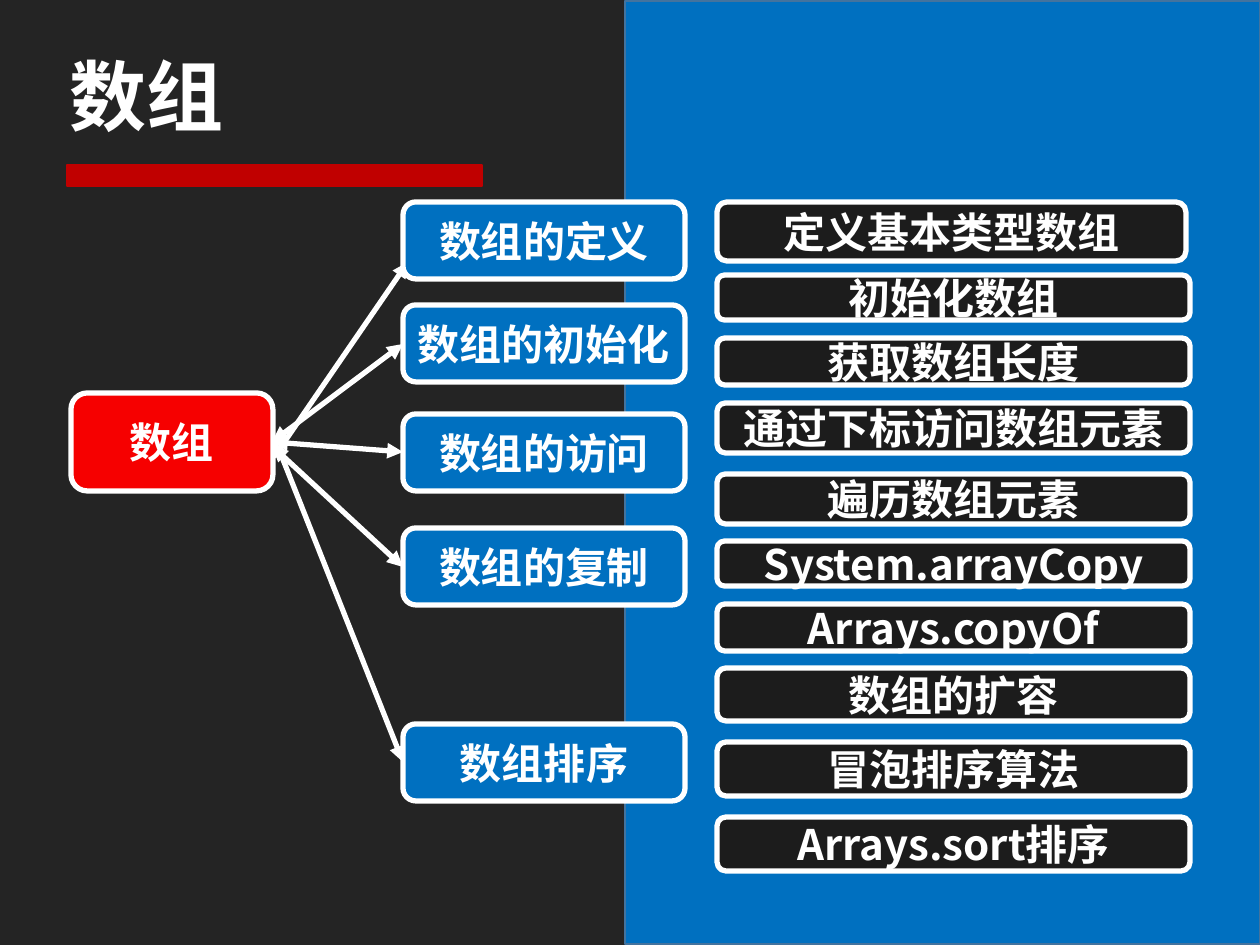
from dataclasses import dataclass

from lxml import etree
from pptx import Presentation
from pptx import util as u
from pptx.dml.color import RGBColor
from pptx.enum import shapes, text
from pptx.oxml.ns import qn

PX = 914400 // 126  # one px in EMU, 126 px to the inch


@dataclass(frozen=True)
class Theme:
    font: str = "Noto Sans CJK SC"
    back: str = "242424"
    dark: str = "1C1C1C"
    blue: str = "0070C0"
    edge: str = "43739E"
    red: str = "F60000"
    bar: str = "C00000"
    white: str = "FFFFFF"
    title: int = 44
    label: int = 24
    thin: int = 1
    thick: int = 3


theme = Theme()
rgb = RGBColor.from_string


def write(frame, words, size=theme.label, align=text.PP_ALIGN.CENTER, wrap=False, pad=6):
    frame.word_wrap = wrap
    frame.vertical_anchor = text.MSO_ANCHOR.MIDDLE
    frame.margin_top = frame.margin_bottom = pad * PX
    para = frame.paragraphs[0]
    para.alignment = align
    run = para.add_run()
    run.text = words
    font = run.font
    font.size, font.bold, font.name = u.Pt(size), True, theme.font
    font.color.rgb = rgb(theme.white)
    etree.SubElement(run._r.get_or_add_rPr(), qn("a:ea"), typeface=theme.font)


def box(place, fill, line=theme.white, width=theme.thick, words=None):
    kind = shapes.MSO_SHAPE.FLOWCHART_ALTERNATE_PROCESS if words else shapes.MSO_SHAPE.RECTANGLE
    shape = slide.shapes.add_shape(kind, *(n * PX for n in place))
    shape.shadow.inherit = False
    shape.fill.solid()
    shape.fill.fore_color.rgb = rgb(fill)
    shape.line.color.rgb = rgb(line)
    shape.line.width = u.Pt(width)
    if words:
        write(shape.text_frame, words)


deck = Presentation()
deck.slide_width, deck.slide_height = u.Inches(10), u.Inches(7.5)
slide = deck.slides.add_slide(deck.slide_layouts[6])
slide.background.fill.solid()
slide.background.fill.fore_color.rgb = rgb(theme.back)

# Right panel, title and its bar
box((625, 1, 635, 943), theme.blue, theme.edge, theme.thin)
title = slide.shapes.add_textbox(*(n * PX for n in (57, 29, 1145, 131)))
write(title.text_frame, "数组", size=theme.title, align=text.PP_ALIGN.LEFT, wrap=True)
box((67, 165, 415, 21), theme.bar, theme.bar, theme.thin)

# Root
box((71, 393, 202, 98), theme.red, words="数组")

# Arrows from the root to the topics
both = ("headEnd", "tailEnd")
for ends, tips in [
    ((272, 460, 408, 262), both),
    ((272, 442, 403, 344), both),
    ((272, 442, 403, 452), both),
    ((272, 446, 403, 567), both),
    ((278, 447, 403, 762), both[1:]),
]:
    link = slide.shapes.add_connector(shapes.MSO_CONNECTOR.STRAIGHT, *(n * PX for n in ends))
    link.line.color.rgb = rgb(theme.white)
    link.line.width = u.Pt(theme.thick)
    props = link.element.spPr
    for tip in tips:
        etree.SubElement(props.find(qn("a:ln")), qn("a:" + tip), type="triangle")
    etree.SubElement(props, qn("a:effectLst"))

# Topics
for top, words in [
    (202, "数组的定义"),
    (305, "数组的初始化"),
    (414, "数组的访问"),
    (528, "数组的复制"),
    (724, "数组排序"),
]:
    box((403, top, 282, 77), theme.blue, words=words)

# The last arrow lies over its topic
link.element.getparent().append(link.element)

# Details
for top, wide, high, words in [
    (202, 469, 59, "定义基本类型数组"),
    (275, 473, 45, "初始化数组"),
    (338, 473, 47, "获取数组长度"),
    (403, 473, 50, "通过下标访问数组元素"),
    (474, 473, 50, "遍历数组元素"),
    (541, 473, 45, "System.arrayCopy"),
    (604, 473, 47, "Arrays.copyOf"),
    (668, 473, 53, "数组的扩容"),
    (742, 473, 54, "冒泡排序算法"),
    (817, 473, 54, "Arrays.sort排序"),
]:
    box((717, top, wide, high), theme.dark, words=words)

deck.save("out.pptx")
